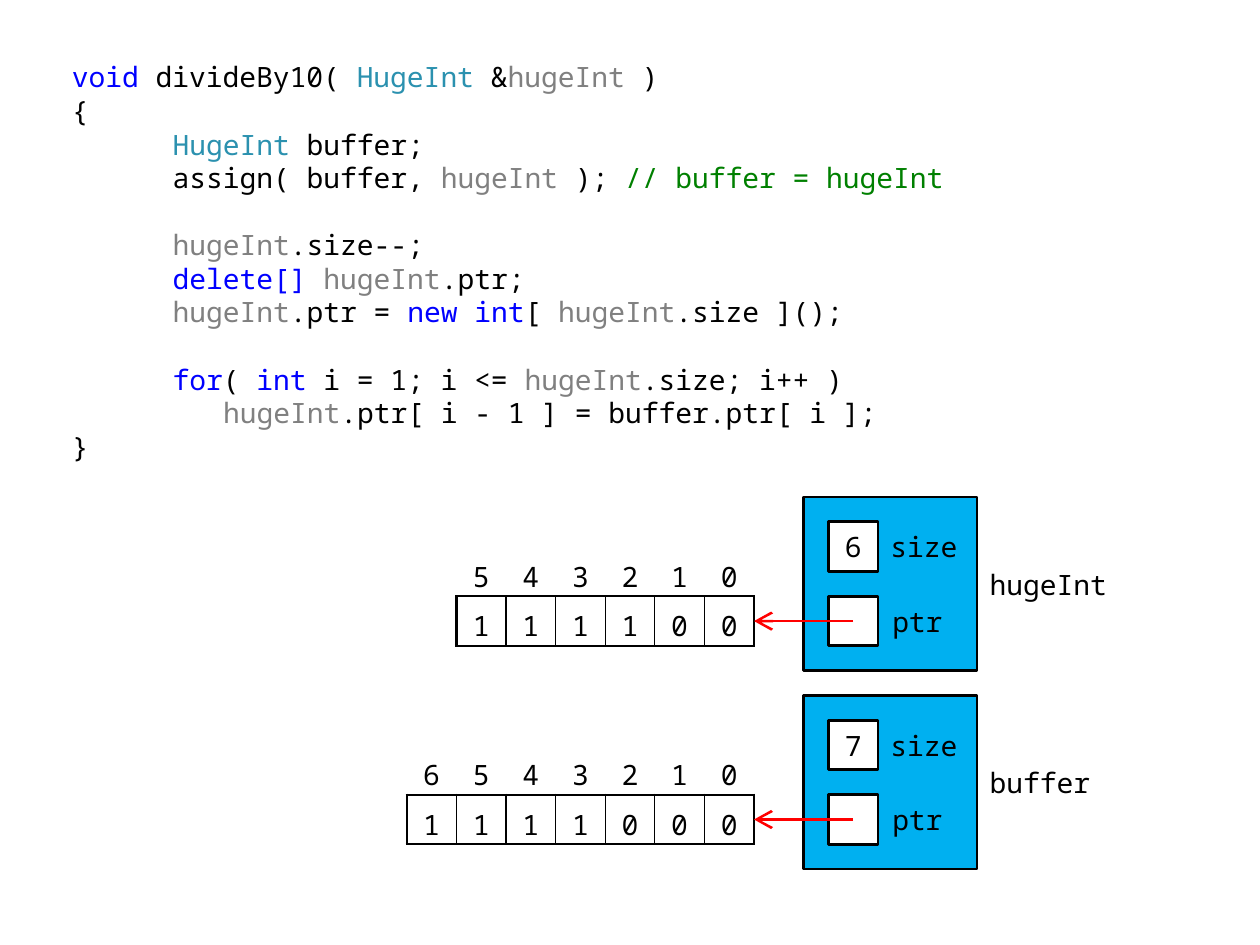
from lxml import etree
from pptx import Presentation
from pptx import util as u
from pptx.dml.color import RGBColor
from pptx.enum import shapes, text
from pptx.oxml.ns import qn

FONT = "Noto Sans Mono"
COLOURS = {
    "plain": "000000", "keyword": "0000FF", "type": "2B91AF",
    "parameter": "808080", "comment": "008000",
    "object": "00B0F0", "member": "FFFFFF", "arrow": "FF0000",
}
PARAMETER = ("hugeInt", "parameter")

# (indent in characters, blank line before, [(words, colour)])
CODE = [
    (0, False, [("void ", "keyword"), ("divideBy10( ", "plain"), ("HugeInt", "type"),
                (" &", "plain"), PARAMETER, (" )", "plain")]),
    (0, False, [("{", "plain")]),
    (6, False, [("HugeInt", "type"), (" buffer;", "plain")]),
    (6, False, [("assign( buffer, ", "plain"), PARAMETER, (" ); ", "plain"),
                ("// buffer = hugeInt", "comment")]),
    (6, True, [PARAMETER, (".size--;", "plain")]),
    (6, False, [("delete[] ", "keyword"), PARAMETER, (".ptr;", "plain")]),
    (6, False, [PARAMETER, (".ptr = ", "plain"), ("new int", "keyword"), ("[ ", "plain"),
                PARAMETER, (".size ]();", "plain")]),
    (6, True, [("for", "keyword"), ("( ", "plain"), ("int", "keyword"),
               (" i = 1; i <= ", "plain"), PARAMETER, (".size; i++ )", "plain")]),
    (9, False, [PARAMETER, (".ptr[ i - 1 ] = buffer.ptr[ i ];", "plain")]),
    (0, False, [("}", "plain")]),
]
# name, label width, size member, digits
OBJECTS = [("hugeInt", 3, "6", "111100"), ("buffer", 2.5, "7", "1111000")]

# Centimetres
CELL = 1
OBJECT_LEFT, OBJECT_TOP, OBJECT_SIDE, OBJECT_STEP = 16.2, 10.02, 3.5, 4
MEMBER_LEFT = OBJECT_LEFT + 0.5
ARRAY_RIGHT = OBJECT_LEFT - 1
# Points
TEXT_SIZE, CHARACTER_WIDTH, LINE_PITCH = 16, 9.6, 19.2

ALIGN = {"left": text.PP_ALIGN.LEFT, "center": text.PP_ALIGN.CENTER,
         "right": text.PP_ALIGN.RIGHT}


def cm_box(*lengths):
    return [u.Cm(length) for length in lengths]


def rgb(name):
    return RGBColor.from_string(COLOURS[name])


def write(paragraph, words, colour="plain", align="left", line_spacing=None):
    paragraph.alignment = ALIGN[align]
    if line_spacing:
        paragraph.line_spacing = line_spacing
    run = paragraph.add_run()
    run.text = words
    run.font.name = FONT
    run.font.size = u.Pt(TEXT_SIZE)
    run.font.color.rgb = rgb(colour)


def set_frame(frame, left=0.0, right=0.0, vertical=0.0):
    frame.word_wrap = True
    frame.vertical_anchor = text.MSO_ANCHOR.MIDDLE
    frame.margin_left, frame.margin_right = cm_box(left, right)
    frame.margin_top = frame.margin_bottom = u.Cm(vertical)


def add_label(slide, box, words, align="left"):
    frame = slide.shapes.add_textbox(*cm_box(*box)).text_frame
    set_frame(frame, left=0.25, right=0.2 if align == "right" else 0.1)
    write(frame.paragraphs[0], words, align=align)


def add_square(slide, left, top, side, fill, words=""):
    square = slide.shapes.add_shape(shapes.MSO_SHAPE.RECTANGLE,
                                    *cm_box(left, top, side, side))
    square.shadow.inherit = False
    square.fill.solid()
    square.fill.fore_color.rgb = rgb(fill)
    square.line.color.rgb = rgb("plain")
    square.line.width = u.Pt(1.5)
    if words:
        set_frame(square.text_frame)
        write(square.text_frame.paragraphs[0], words, align="center")


def set_borders(cell, **widths):
    """Draw borders of the given widths in points; a side left out is hidden."""
    properties = cell._tc.get_or_add_tcPr()
    for position, side in enumerate("LRTB"):
        width = widths.get(side, 0)
        line = etree.Element(qn(f"a:ln{side}"), w=str(u.Pt(width)))
        if width:
            fill = etree.SubElement(line, qn("a:solidFill"))
            etree.SubElement(fill, qn("a:srgbClr"), val=COLOURS["plain"])
        else:
            etree.SubElement(line, qn("a:noFill"))
        properties.insert(position, line)


def add_array(slide, top, digits):
    count = len(digits)
    width = count * CELL
    table = slide.shapes.add_table(
        2, count, *cm_box(ARRAY_RIGHT - width, top, width, 2 * CELL)).table
    table.first_row = table.horz_banding = False
    for row in table.rows:
        row.height = u.Cm(CELL)
    for column, digit in enumerate(digits):
        table.columns[column].width = u.Cm(CELL)
        for row, words in enumerate((str(count - 1 - column), digit)):
            cell = table.cell(row, column)
            cell.margin_left = cell.margin_right = cell.margin_top = cell.margin_bottom = 0
            cell.vertical_anchor = text.MSO_ANCHOR.MIDDLE
            cell.fill.background()
            write(cell.text_frame.paragraphs[0], words, align="center", line_spacing=1.25)
        set_borders(table.cell(0, column), B=1.5)
        set_borders(table.cell(1, column), T=1.5, B=1.5,
                    L=1.5 if column == 0 else 0.75,
                    R=1.5 if column == count - 1 else 0.75)


def add_arrow(slide, start, end, y):
    arrow = slide.shapes.add_connector(shapes.MSO_CONNECTOR.STRAIGHT,
                                       *cm_box(start, y, end, y))
    arrow.line.color.rgb = rgb("arrow")
    arrow.line.width = u.Pt(1.5)
    etree.SubElement(arrow.line._get_or_add_ln(), qn("a:tailEnd"),
                     type="arrow", w="lg", len="lg")
    etree.SubElement(arrow._element.spPr, qn("a:effectLst"))


def add_code(slide):
    frame = slide.shapes.add_textbox(*cm_box(1.2, 1.02, 18.5, 8.5)).text_frame
    set_frame(frame, left=0.25, right=0.25, vertical=0.13)
    for index, (indent, gap, segments) in enumerate(CODE):
        paragraph = frame.add_paragraph() if index else frame.paragraphs[0]
        for words, colour in segments:
            write(paragraph, words, colour)
        paragraph.space_before = u.Pt(LINE_PITCH if gap else 0)
        paragraph._p.get_or_add_pPr().set("marL", str(u.Pt(indent * CHARACTER_WIDTH)))


def add_object(slide, top, name, label_width, size, digits):
    size_top, pointer_top = top + 0.5, top + 2
    label_left = MEMBER_LEFT + CELL
    add_square(slide, OBJECT_LEFT, top, OBJECT_SIDE, "object")
    add_square(slide, MEMBER_LEFT, size_top, CELL, "member", size)
    add_square(slide, MEMBER_LEFT, pointer_top, CELL, "member")
    add_label(slide, (OBJECT_LEFT + OBJECT_SIDE, top + 1, label_width, 1.5), name)
    add_label(slide, (label_left, size_top, 2, CELL), "size")
    add_label(slide, (label_left, pointer_top, 1.5, CELL), "ptr", align="right")
    add_array(slide, top + 1, digits)
    add_arrow(slide, MEMBER_LEFT + CELL / 2, ARRAY_RIGHT, pointer_top + CELL / 2)


def main():
    presentation = Presentation()
    presentation.slide_width, presentation.slide_height = cm_box(25.4, 19.05)
    slide = presentation.slides.add_slide(presentation.slide_layouts[6])
    add_code(slide)
    for index, details in enumerate(OBJECTS):
        add_object(slide, OBJECT_TOP + index * OBJECT_STEP, *details)
    presentation.save("out.pptx")


if __name__ == "__main__":
    main()
